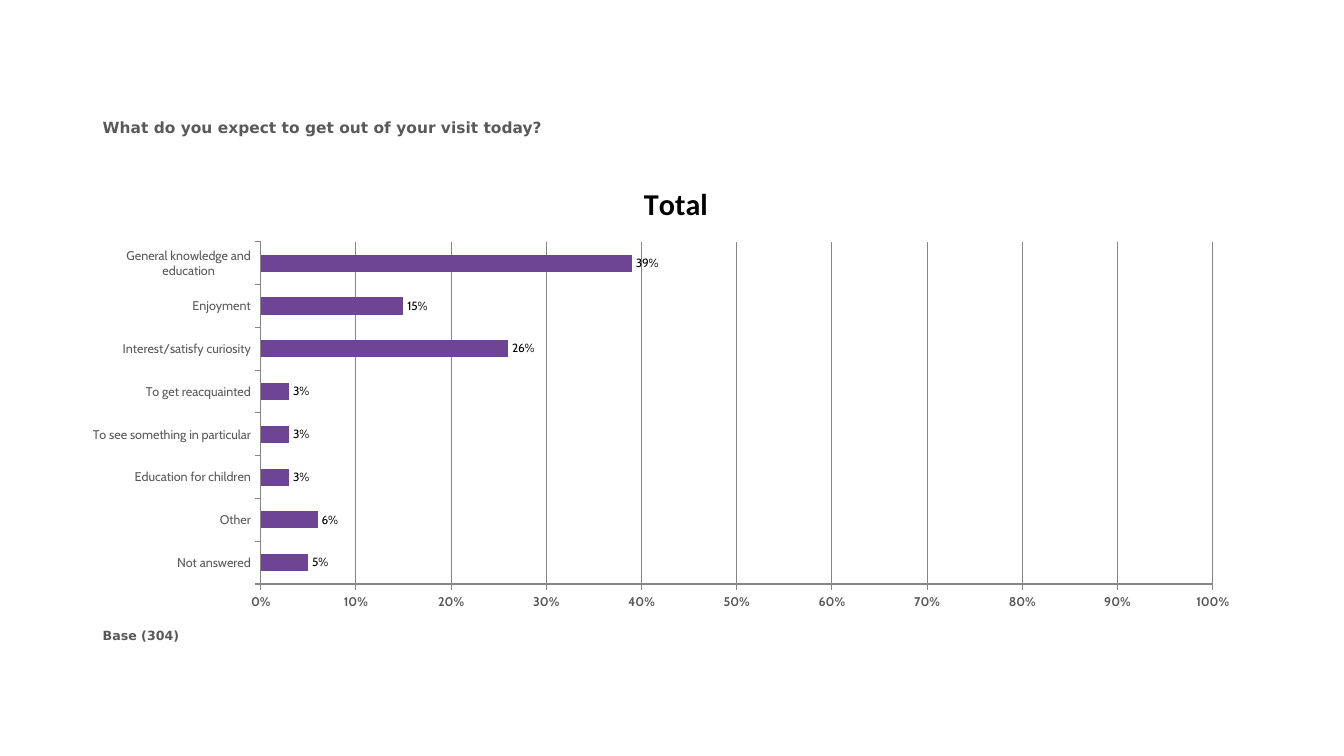
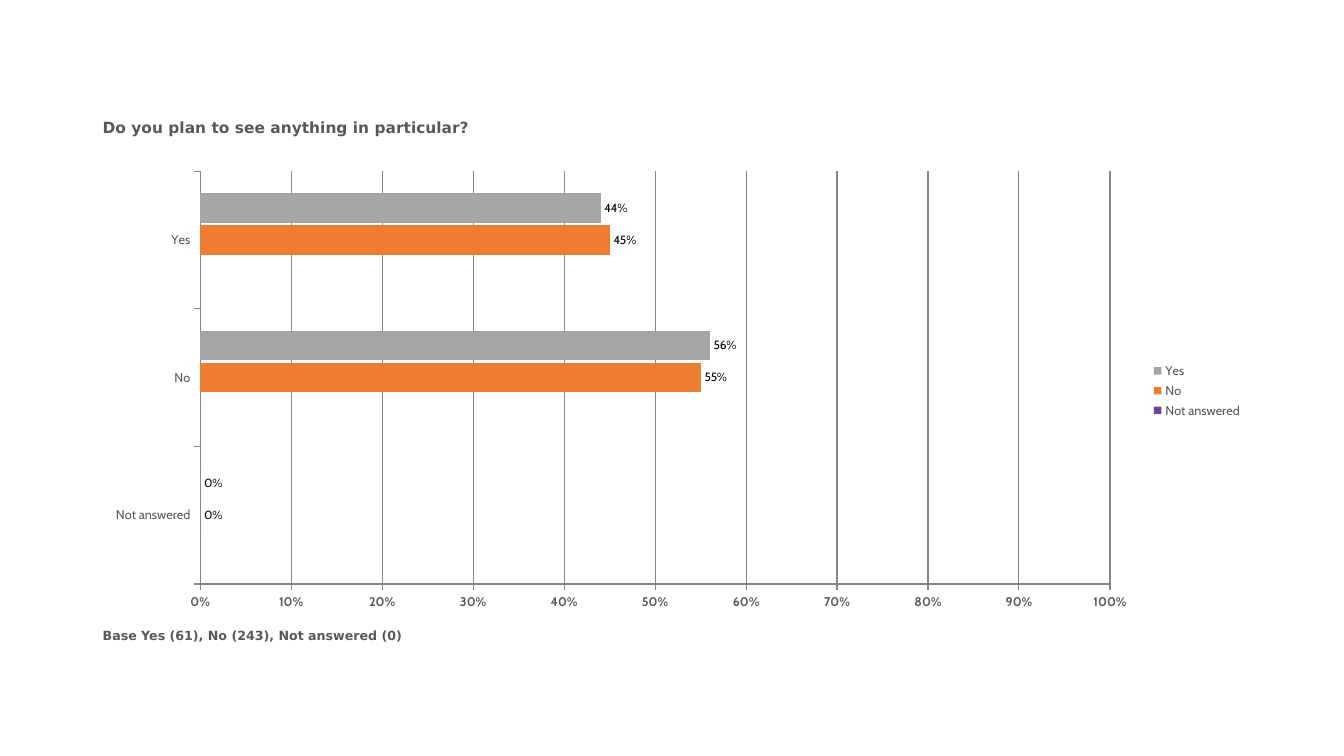
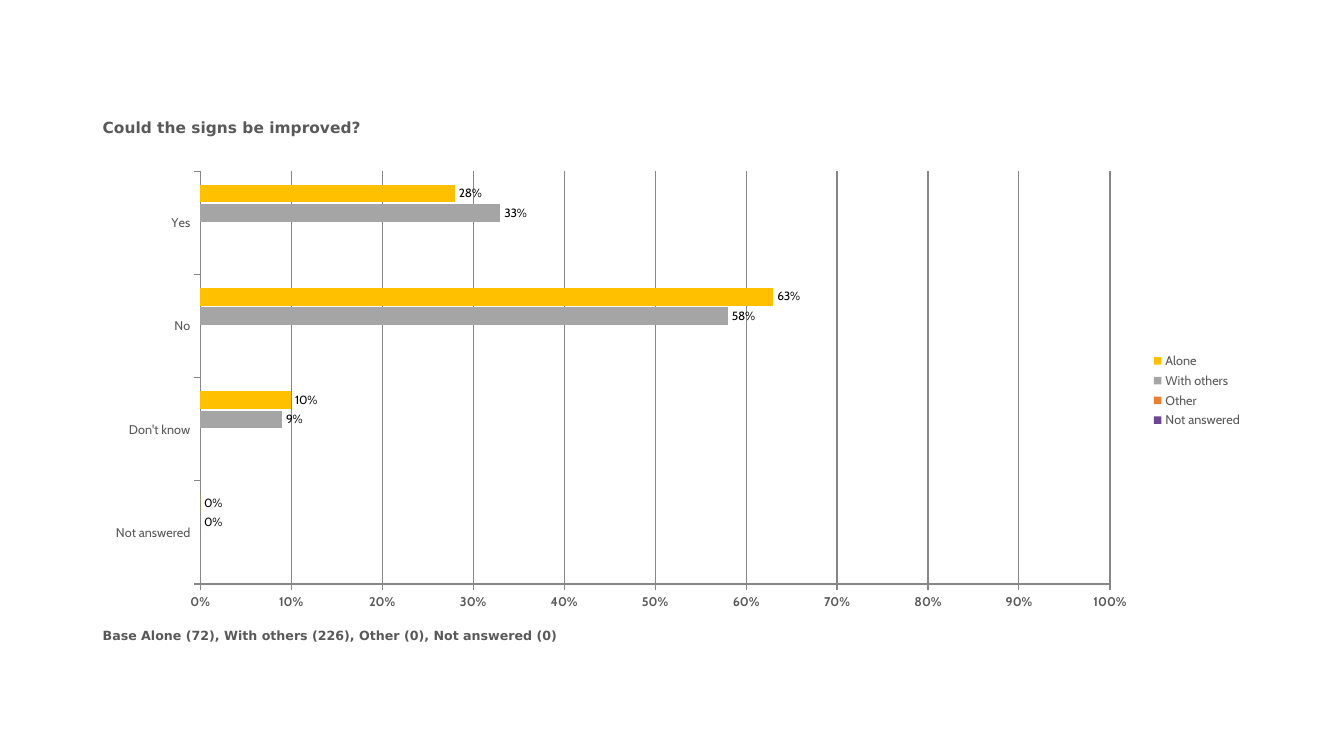
from pptx import Presentation
from pptx.chart.data import CategoryChartData as ChartData
from pptx.dml.color import RGBColor
from pptx.enum.chart import (XL_CHART_TYPE as Kind, XL_LABEL_POSITION as Spot,
                             XL_LEGEND_POSITION as Side, XL_TICK_LABEL_POSITION as Tick,
                             XL_TICK_MARK as Mark)
from pptx.util import Inches, Pt

LEFT, WIDTH = 0.92, 11.5
BLACK, TEXT, LINE = "000000", "595959", "868686"
PURPLE, ORANGE, GRAY, GOLD = "6E4595", "ED7D31", "A5A5A5", "FFC000"

HEAD = {"name": "DejaVu Sans", "size": 11, "bold": True, "color": TEXT}
FOOT = {**HEAD, "size": 9}
BASE = {"name": "Calibri", "size": 18, "color": BLACK}
TITLE = {**BASE, "size": 21.6, "bold": True}
CATS = {"name": "Cabin", "size": 9, "bold": False, "color": TEXT}
VALS = {**CATS, "bold": True}
LABELS = {**CATS, "size": 8.5, "color": BLACK}

SLIDES = [
    {"head": "What do you expect to get out of your visit today?",
     "foot": "Base (304)",
     "title": "Total",
     "cats": ["Not answered", "Other", "Education for children",
              "To see something in particular", "To get reacquainted",
              "Interest/satisfy curiosity", "Enjoyment",
              "General knowledge and education"],
     "series": [("Total", PURPLE, [0.05, 0.06, 0.03, 0.03, 0.03, 0.26, 0.15, 0.39])]},
    {"head": "Do you plan to see anything in particular?",
     "foot": "Base Yes (61), No (243), Not answered (0)",
     "cats": ["Not answered", "No", "Yes"],
     "series": [("Not answered", PURPLE, [None] * 3),
                ("No", ORANGE, [0, 0.55, 0.45]),
                ("Yes", GRAY, [0, 0.56, 0.44])]},
    {"head": "Could the signs be improved?",
     "foot": "Base Alone (72), With others (226), Other (0), Not answered (0)",
     "cats": ["Not answered", "Don't know", "No", "Yes"],
     "series": [("Not answered", PURPLE, [None] * 4),
                ("Other", ORANGE, [None] * 4),
                ("With others", GRAY, [0, 0.09, 0.58, 0.33]),
                ("Alone", GOLD, [0, 0.1, 0.63, 0.28])]},
]


def rgb(code):
    return RGBColor.from_string(code)


def style(font, look):
    for key, value in look.items():
        if key == "color":
            font.color.rgb = rgb(value)
        else:
            setattr(font, key, Pt(value) if key == "size" else value)


def add_text(slide, text, top, height, look):
    box = slide.shapes.add_textbox(Inches(LEFT), Inches(top), Inches(WIDTH), Inches(height))
    frame = box.text_frame
    frame.word_wrap = True
    run = frame.paragraphs[0].add_run()
    run.text = text
    style(run.font, look)


def draw_line(line):
    line.color.rgb = rgb(LINE)
    line.width = Pt(0.75)


def set_axis(axis, look):
    axis.tick_label_position = Tick.LOW
    axis.major_tick_mark = Mark.OUTSIDE
    draw_line(axis.format.line)
    style(axis.tick_labels.font, look)


def set_scale(axis):
    """Run the value axis from 0% to 100% with a gridline at each 10%."""
    for key, value in {"minimum_scale": 0, "maximum_scale": 1, "major_unit": 0.1}.items():
        setattr(axis, key, value)
    axis.has_major_gridlines = True
    draw_line(axis.major_gridlines.format.line)
    axis.tick_labels.number_format = "0%"
    axis.tick_labels.number_format_is_linked = False


def set_bars(bars, color):
    bars.format.fill.solid()
    bars.format.fill.fore_color.rgb = rgb(color)
    bars.invert_if_negative = False
    labels = bars.data_labels
    for key, value in {"show_value": True, "position": Spot.OUTSIDE_END,
                       "number_format": "0%", "number_format_is_linked": False}.items():
        setattr(labels, key, value)
    style(labels.font, LABELS)


def set_title(chart, title):
    chart.has_title = bool(title)
    if title:
        run = chart.chart_title.text_frame.paragraphs[0].add_run()
        run.text = title
        style(run.font, TITLE)


def set_legend(chart, shown):
    chart.has_legend = shown
    if shown:
        chart.legend.position = Side.RIGHT
        chart.legend.include_in_layout = False
        style(chart.legend.font, CATS)


def add_bars(slide, cats, series, title):
    data = ChartData(number_format="0%")
    data.categories = cats
    for name, _, values in series:
        data.add_series(name, values)
    chart = slide.shapes.add_chart(Kind.BAR_CLUSTERED, Inches(LEFT), Inches(1.61),
                                   Inches(WIDTH), Inches(4.53), data).chart
    style(chart.font, BASE)
    set_title(chart, title)
    set_legend(chart, len(series) > 1)
    set_axis(chart.category_axis, CATS)
    set_axis(chart.value_axis, VALS)
    set_scale(chart.value_axis)
    plot = chart.plots[0]
    plot.gap_width, plot.overlap, plot.vary_by_categories = 150, -10, False
    for bars, (_, color, _) in zip(plot.series, series):
        set_bars(bars, color)


def main():
    deck = Presentation()
    deck.slide_width, deck.slide_height = Inches(13.33), Inches(7.5)
    for page in SLIDES:
        slide = deck.slides.add_slide(deck.slide_layouts[6])
        add_text(slide, page["head"], 1.12, 0.51, HEAD)
        add_text(slide, page["foot"], 6.18, 0.43, FOOT)
        add_bars(slide, page["cats"], page["series"], page.get("title"))
    deck.save("out.pptx")


if __name__ == "__main__":
    main()
